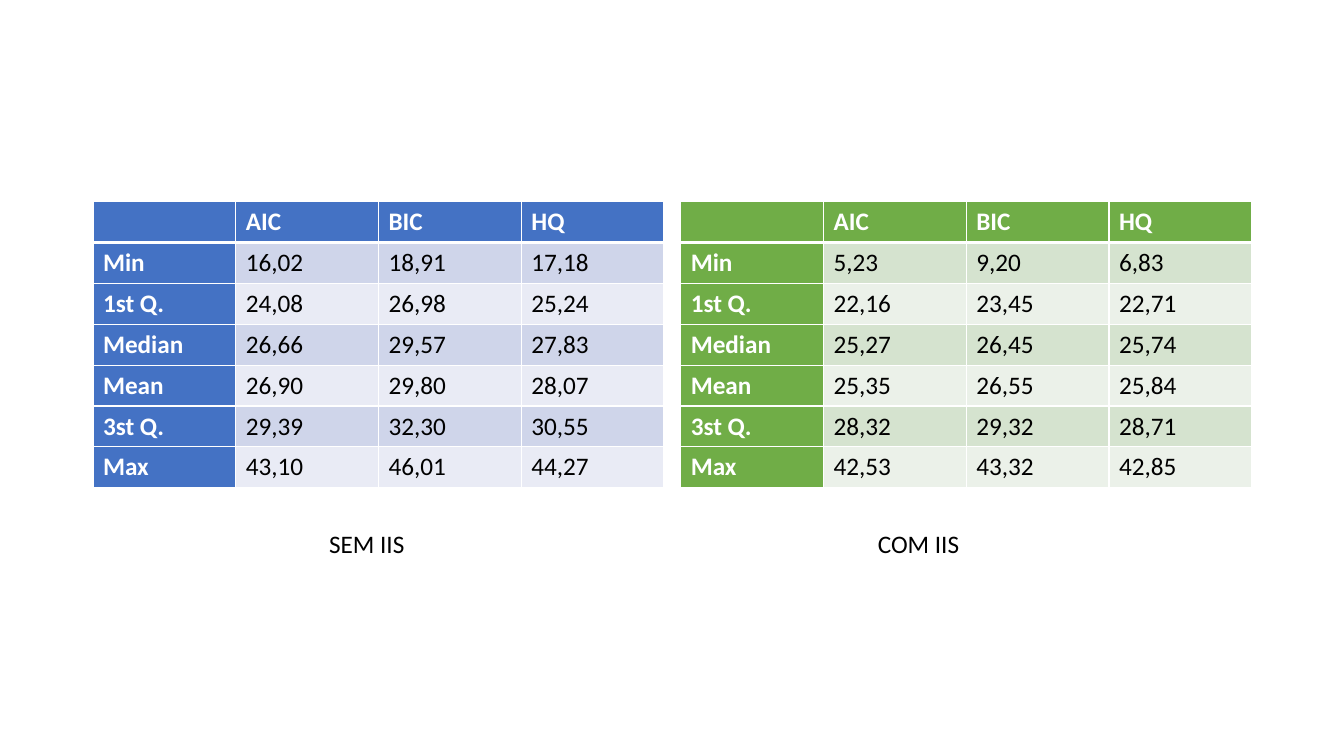
from lxml import etree
from pptx import Presentation
from pptx import util as u
from pptx.dml import color
from pptx.enum import text
from pptx.oxml import ns

COLORS = {
    "white": "FFFFFF", "black": "000000",
    "blue": "4472C4", "blue_band": "CFD5EA", "blue_light": "E9EBF5",
    "green": "70AD47", "green_band": "D5E3CF", "green_light": "EBF1E9",
}
CRITERIA = ["", "AIC", "BIC", "HQ"]
STATISTICS = ["Min", "1st Q.", "Median", "Mean", "3st Q.", "Max"]


class SlideBuilder:
    font, size = "Calibri", 18
    column_width, row_height = 102, 29.2
    thin, thick = 1, 3

    def __init__(self, slide):
        self.slide = slide

    def rgb(self, name):
        return color.RGBColor.from_string(COLORS[name])

    def set_wording(self, frame, wording, ink, bold=False):
        frame.text = wording
        for run in frame.paragraphs[0].runs:
            run.font.name, run.font.size = self.font, u.Pt(self.size)
            run.font.bold, run.font.color.rgb = bold, self.rgb(ink)

    def border(self, cell, side, width):
        properties = cell._tc.get_or_add_tcPr()
        line = etree.SubElement(properties, ns.qn("a:ln" + side), w=str(u.Pt(width)))
        fill = etree.SubElement(line, ns.qn("a:solidFill"))
        etree.SubElement(fill, ns.qn("a:srgbClr"), val=COLORS["white"])

    def table(self, left, top, rows, hue):
        row_count, column_count = len(rows), len(rows[0])
        grid = self.slide.shapes.add_table(
            row_count, column_count, u.Pt(left), u.Pt(top),
            u.Pt(column_count * self.column_width),
            u.Pt(row_count * self.row_height)).table
        for column in grid.columns:
            column.width = u.Pt(self.column_width)
        for r, row in enumerate(rows):
            grid.rows[r].height = u.Pt(self.row_height)
            for c, wording in enumerate(row):
                cell = grid.cell(r, c)
                heading = r == 0 or c == 0
                # A thick rule separates the header from the body
                thick_side = {0: "B", 1: "T"}.get(r)
                for side in "LRTB":
                    self.border(cell, side, self.thick if side == thick_side else self.thin)
                shade = "" if heading else "_band" if r % 2 else "_light"
                cell.fill.solid()
                cell.fill.fore_color.rgb = self.rgb(hue + shade)
                self.set_wording(cell.text_frame, wording,
                                 "white" if heading else "black", heading)

    def caption(self, left, top, width, wording, wrap):
        frame = self.slide.shapes.add_textbox(
            u.Pt(left), u.Pt(top), u.Pt(width), u.Pt(29)).text_frame
        frame.word_wrap = wrap
        frame.auto_size = text.MSO_AUTO_SIZE.SHAPE_TO_FIT_TEXT
        self.set_wording(frame, wording, "black")


def with_headings(values):
    return [CRITERIA] + [[name, *row] for name, row in zip(STATISTICS, values)]


without_iis = [
    ["16,02", "18,91", "17,18"],
    ["24,08", "26,98", "25,24"],
    ["26,66", "29,57", "27,83"],
    ["26,90", "29,80", "28,07"],
    ["29,39", "32,30", "30,55"],
    ["43,10", "46,01", "44,27"],
]
with_iis = [
    ["5,23", "9,20", "6,83"],
    ["22,16", "23,45", "22,71"],
    ["25,27", "26,45", "25,74"],
    ["25,35", "26,55", "25,84"],
    ["28,32", "29,32", "28,71"],
    ["42,53", "43,32", "42,85"],
]

deck = Presentation()
deck.slide_width, deck.slide_height = u.Pt(960), u.Pt(540)
builder = SlideBuilder(deck.slides.add_slide(deck.slide_layouts[6]))

# Information criteria tables
builder.table(66.4, 144, with_headings(without_iis), "blue")
builder.table(486.2, 144, with_headings(with_iis), "green")

# Captions
builder.caption(228, 374, 69, "SEM IIS", wrap=False)
builder.caption(620, 374, 130, "COM IIS", wrap=True)

deck.save("out.pptx")
